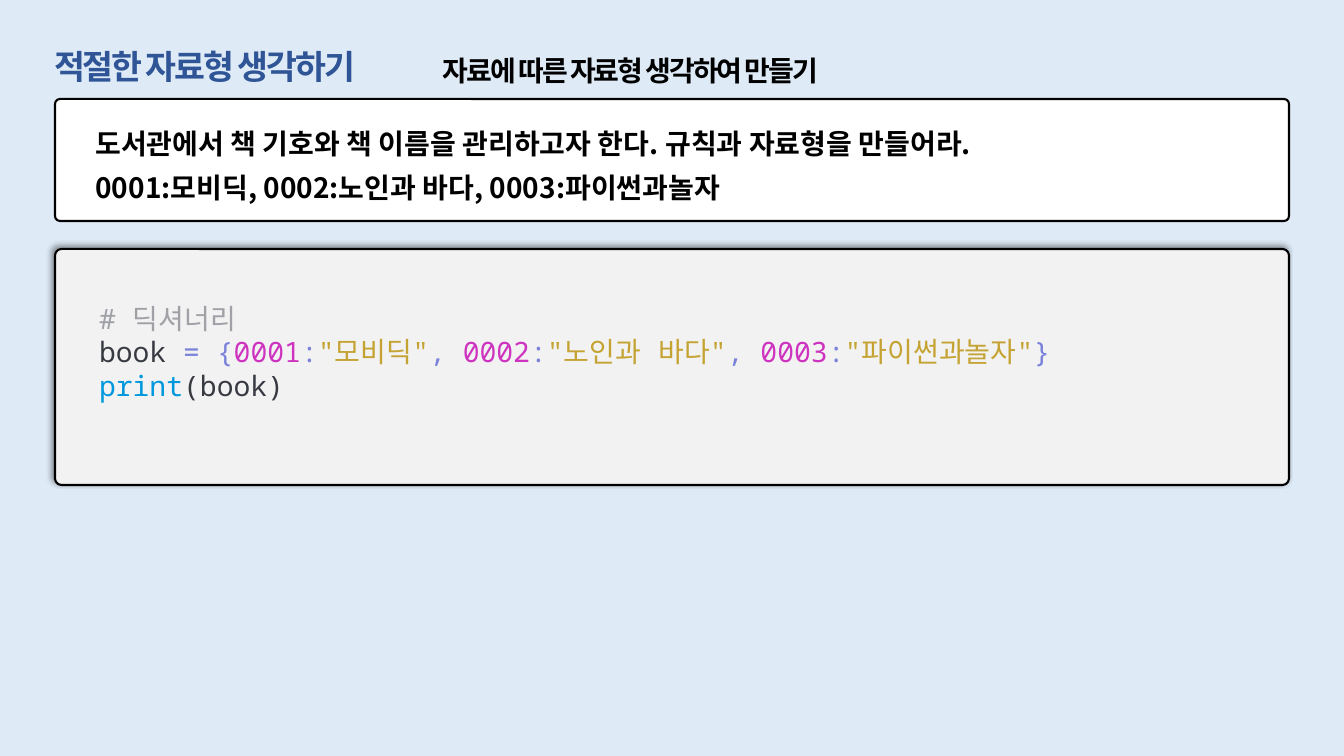
from lxml.etree import SubElement
from pptx import Presentation
from pptx.dml.color import RGBColor
from pptx.enum.shapes import MSO_SHAPE as Shape
from pptx.enum.text import MSO_ANCHOR as Anchor, PP_ALIGN as Align
from pptx.oxml.ns import qn
from pptx.util import Emu, Pt

SKY = RGBColor(0xDE, 0xEB, 0xF7)
NAVY = RGBColor(0x2F, 0x55, 0x97)
BLACK = RGBColor(0, 0, 0)
WHITE = RGBColor(255, 255, 255)
PANEL = RGBColor(0xF2, 0xF2, 0xF2)
COMMENT = RGBColor(0xA0, 0xA1, 0xA7)
PLAIN = RGBColor(0x38, 0x3A, 0x42)
MARK = RGBColor(0x7A, 0x82, 0xDA)
NUMBER = RGBColor(0xCE, 0x33, 0xC0)
STRING = RGBColor(0xC5, 0xA3, 0x32)
BUILTIN = RGBColor(0x00, 0x98, 0xDD)

SANS, MONO = "Noto Sans CJK KR", "Noto Sans Mono"

TITLE = [[("적절한 자료형 생각하기", NAVY)]]
SUBTITLE = [[("자료에 따른 자료형 생각하여 만들기", BLACK)]]
QUESTION = [
    [("도서관에서 책 기호와 책 이름을 관리하고자 한다. 규칙과 자료형을 만들어라.", BLACK)],
    [("0001:모비딕, 0002:노인과 바다, 0003:파이썬과놀자", BLACK)],
]
CODE = [
    [("# 딕셔너리", COMMENT)],
    [("book ", PLAIN), ("= {", MARK),
     ("0001", NUMBER), (":", MARK), ('"모비딕"', STRING), (", ", MARK),
     ("0002", NUMBER), (":", MARK), ('"노인과 바다"', STRING), (",", MARK),
     (" 0003", NUMBER), (":", MARK), ('"파이썬과놀자"', STRING), ("}", MARK)],
    [("print", BUILTIN), ("(book)", PLAIN)],
]

LEFT, WIDTH = 55, 1234
CORNER = 5


def px(length):
    return Emu(round(length * 914400 / 100.8))


def write(box, lines, font=SANS, size=20, bold=True, tracking=0, align=Align.LEFT,
          spacing=None, anchor=Anchor.TOP, left=10, right=10, wrap=True):
    frame = box.text_frame
    frame.word_wrap = wrap
    frame.vertical_anchor = anchor
    frame.margin_left, frame.margin_right = px(left), px(right)
    frame.margin_top = frame.margin_bottom = px(5)
    for index, line in enumerate(lines):
        para = frame.add_paragraph() if index else frame.paragraphs[0]
        para.alignment = align
        if spacing:
            para.line_spacing = spacing
        for text, color in line:
            span = para.add_run()
            span.text = text
            span.font.name = font
            span.font.size = Pt(size)
            span.font.bold = bold
            span.font.color.rgb = color
            properties = span.font._element
            SubElement(properties, qn("a:ea"), typeface=font)
            if tracking:
                properties.set("spc", str(round(tracking * 100)))


def add_box(page, kind, left, top, width, height, fill, outlined=True):
    box = page.shapes.add_shape(kind, px(left), px(top), px(width), px(height))
    box.shadow.inherit = False
    box.fill.solid()
    box.fill.fore_color.rgb = fill
    if outlined:
        box.adjustments[0] = CORNER / height if height < 200 else 0.027
        box.line.color.rgb = BLACK
        box.line.width = Pt(1.5)
    else:
        box.line.fill.background()
    return box


def add_text(page, left, top, width, height, lines, **style):
    box = page.shapes.add_textbox(px(left), px(top), px(width), px(height))
    write(box, lines, **style)


def cast_shadow(box, blur, distance, angle, opacity):
    effects = box._element.spPr.find(qn("a:effectLst"))
    shadow = SubElement(effects, qn("a:outerShdw"), blurRad=str(Pt(blur)),
                        dist=str(Pt(distance)), dir=str(angle * 60000),
                        algn="br", rotWithShape="0")
    color = SubElement(shadow, qn("a:srgbClr"), val=str(BLACK))
    SubElement(color, qn("a:alpha"), val=str(opacity * 1000))


def main():
    deck = Presentation()
    deck.slide_width, deck.slide_height = px(1344), px(756)
    page = deck.slides.add_slide(deck.slide_layouts[6])
    page.background.fill.solid()
    page.background.fill.fore_color.rgb = SKY

    title = add_box(page, Shape.RECTANGLE, 0, 41, 1344, 50, SKY, outlined=False)
    write(title, TITLE, size=24, tracking=-1.5, left=54)
    add_text(page, 433, 48, 444, 44, SUBTITLE, tracking=-1.5, wrap=False)

    question = add_box(page, Shape.ROUNDED_RECTANGLE, LEFT, 99, WIDTH, 122, WHITE)
    write(question, QUESTION, align=Align.JUSTIFY, spacing=1.3,
          anchor=Anchor.MIDDLE, left=39, right=39)

    panel = add_box(page, Shape.ROUNDED_RECTANGLE, LEFT, 249, WIDTH, 236, PANEL)
    cast_shadow(panel, blur=4, distance=3, angle=225, opacity=40)
    add_text(page, 89, 296, 1067, 146, CODE, font=MONO, bold=False)

    deck.save("out.pptx")


if __name__ == "__main__":
    main()
